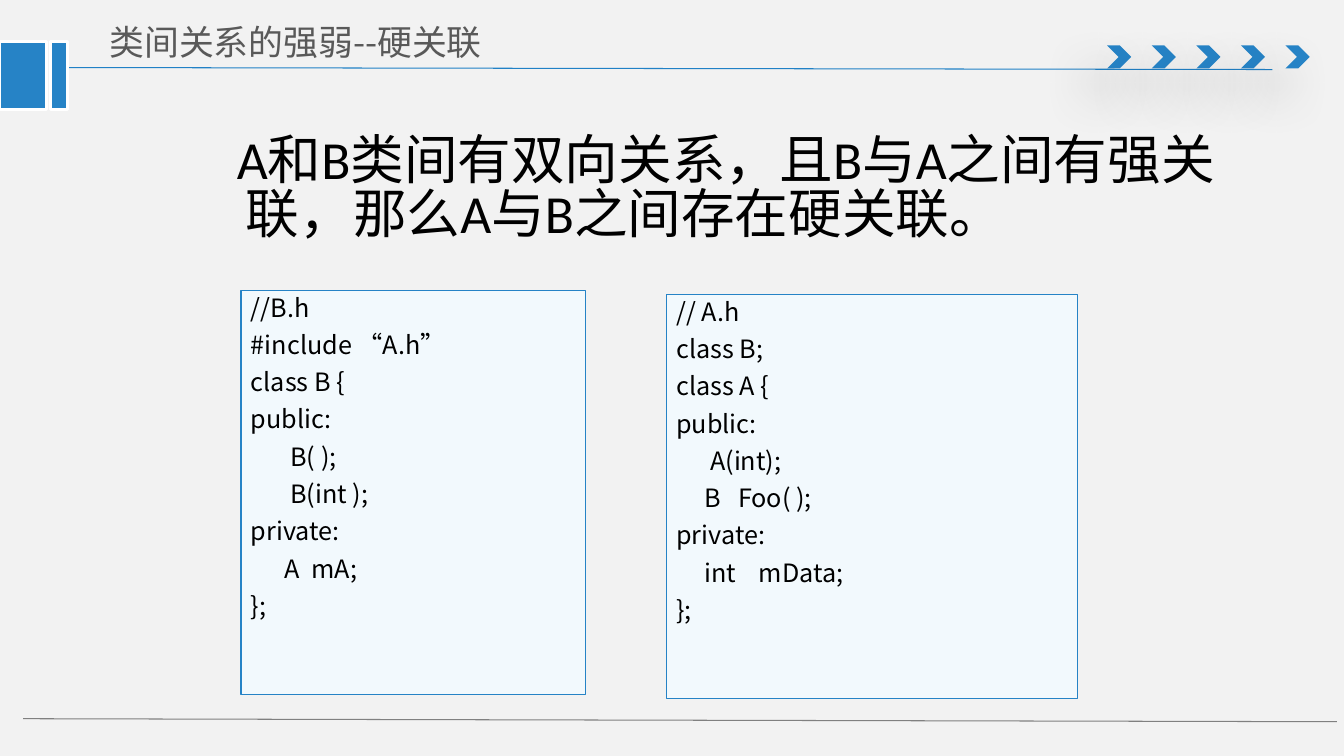
from lxml import etree
from pptx import Presentation
from pptx.dml.color import RGBColor
from pptx.enum.shapes import MSO_CONNECTOR, MSO_SHAPE
from pptx.enum.text import MSO_ANCHOR, PP_ALIGN
from pptx.oxml.ns import qn
from pptx.util import Inches, Pt

RECTANGLE = MSO_SHAPE.RECTANGLE
CHEVRON = MSO_SHAPE.CHEVRON
STRAIGHT = MSO_CONNECTOR.STRAIGHT
TOP, MIDDLE = MSO_ANCHOR.TOP, MSO_ANCHOR.MIDDLE
LEFT = PP_ALIGN.LEFT

CJK_FONT = "Noto Sans CJK SC"
BLUE = "2683C6"

CODE_B = """//B.h
#include “A.h”
class B {
public:
       B( );
       B(int );
private:
      A  mA;
};"""

CODE_A = """// A.h
class B;
class A {
public:
      A(int);
     B   Foo( );
private:
     int    mData;
};"""


def color(value):
    return RGBColor.from_string(value)


def write_text(shape, text, size, font=CJK_FONT, fill="000000", anchor=TOP,
               line_spacing=1.0, space_before=0, margin=0, indent=0,
               inset_top=0.05, inset_right=0.1):
    """Fill a shape with one paragraph per line of text."""
    frame = shape.text_frame
    frame.word_wrap = True
    frame.vertical_anchor = anchor
    frame.margin_top = Inches(inset_top)
    frame.margin_right = Inches(inset_right)
    for index, line in enumerate(text.split("\n")):
        paragraph = frame.paragraphs[0] if index == 0 else frame.add_paragraph()
        paragraph.alignment = LEFT
        paragraph.line_spacing = line_spacing
        paragraph.space_before = Pt(space_before if index else 0)
        properties = paragraph._p.get_or_add_pPr()
        properties.set("marL", str(Inches(margin)))
        properties.set("indent", str(Inches(indent)))
        run = paragraph.add_run()
        run.text = line
        run.font.size = Pt(size)
        run.font.color.rgb = color(fill)
        run.font.name = font
        east_asian = etree.SubElement(run._r.get_or_add_rPr(), qn("a:ea"))
        east_asian.set("typeface", CJK_FONT)


def add_text(slide, box, text, **text_format):
    shape = slide.shapes.add_textbox(*map(Inches, box))
    write_text(shape, text, **text_format)


def add_preset(slide, preset, box, fill, line=None, width=0.75):
    shape = slide.shapes.add_shape(preset, *map(Inches, box))
    shape.shadow.inherit = False
    shape.fill.solid()
    shape.fill.fore_color.rgb = color(fill)
    if line:
        shape.line.color.rgb = color(line)
        shape.line.width = Pt(width)
    else:
        shape.line.fill.background()
    return shape


def add_rule(slide, start, end, line):
    connector = slide.shapes.add_connector(STRAIGHT, *map(Inches, start + end))
    connector.line.color.rgb = color(line)
    connector.line.width = Pt(0.75)
    etree.SubElement(connector._element.spPr, qn("a:effectLst"))


def add_soft_shadow(shape):
    effects = shape._element.spPr.find(qn("a:effectLst"))
    shadow = etree.SubElement(effects, qn("a:outerShdw"), blurRad=str(Pt(36)),
                              dist=str(Pt(24)), dir=str(130 * 60000),
                              algn="t", rotWithShape="0")
    tint = etree.SubElement(shadow, qn("a:srgbClr"), val="000000")
    etree.SubElement(tint, qn("a:alpha"), val="38000")


def add_code_box(slide, box, code):
    shape = add_preset(slide, RECTANGLE, box, "F2F9FD", line=BLUE)
    write_text(shape, code, size=18, line_spacing=0.9, space_before=7.2)


def main():
    presentation = Presentation()
    presentation.slide_width = Inches(13.33)
    presentation.slide_height = Inches(7.5)
    slide = presentation.slides.add_slide(presentation.slide_layouts[6])
    slide.background.fill.solid()
    slide.background.fill.fore_color.rgb = color("F2F2F2")

    # Header rule, chevrons and footer rule
    add_rule(slide, (0.53, 0.67), (12.62, 0.69), "2181C6")
    for index in range(5):
        box = (10.98 + index * 0.4425, 0.45, 0.24, 0.23)
        add_soft_shadow(add_preset(slide, CHEVRON, box, BLUE))
    add_rule(slide, (0.23, 7.13), (13.26, 7.16), "808080")

    # Blocks beside the title
    for left, width in ((0, 0.46), (0.5, 0.17)):
        add_preset(slide, RECTANGLE, (left, 0.41, width, 0.68), BLUE,
                   line="FFFFFF", width=2)

    # Title and statement
    add_text(slide, (0.99, 0.14, 4.63, 0.55), "类间关系的强弱--硬关联",
             size=24.9, fill="595959", anchor=MIDDLE)
    add_text(slide, (1.89, 1.25, 10.62, 1.31),
             "A和B类间有双向关系，且B与A之间有强关联，那么A与B之间存在硬关联。",
             size=38.3, font="Calibri", line_spacing=0.84, margin=0.45,
             indent=-0.09, inset_top=0.1, inset_right=0.2)

    # Header files
    add_code_box(slide, (2.39, 2.88, 3.42, 4.01), CODE_B)
    add_code_box(slide, (6.61, 2.92, 4.08, 4.01), CODE_A)

    presentation.save("out.pptx")


if __name__ == "__main__":
    main()
